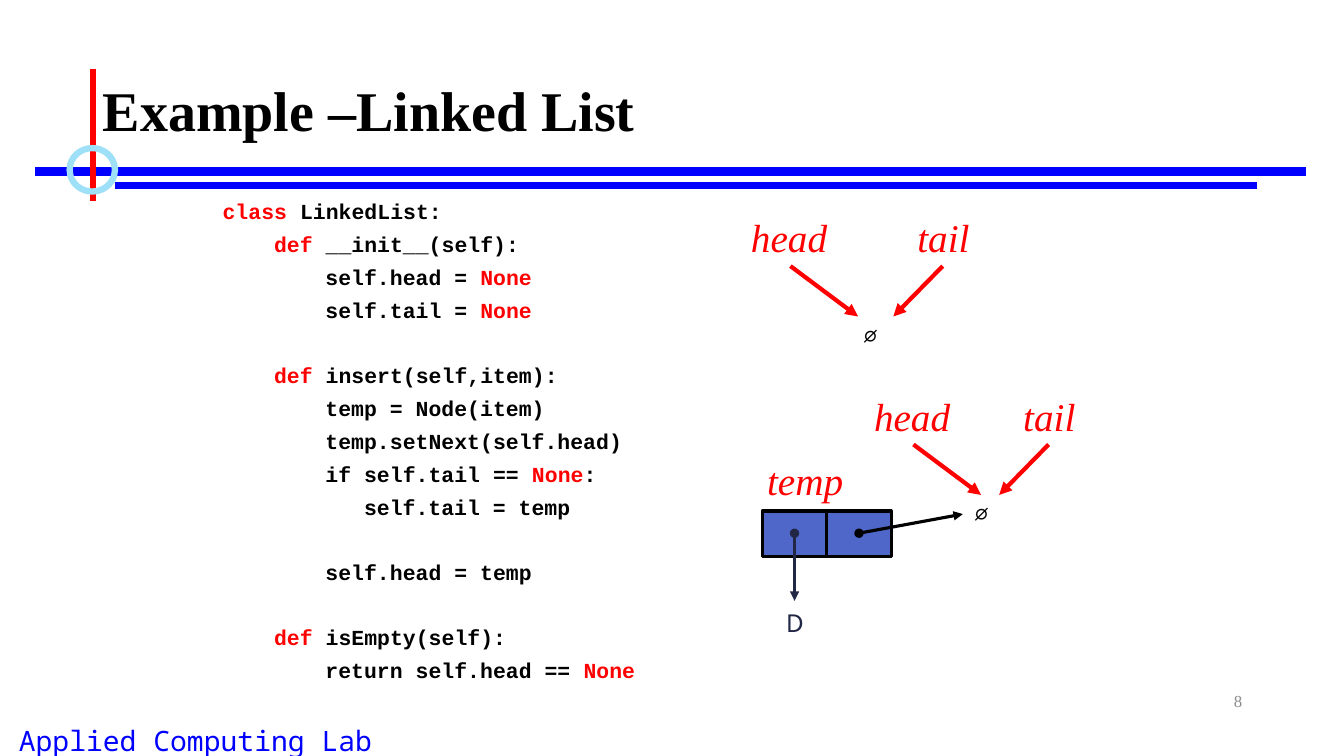
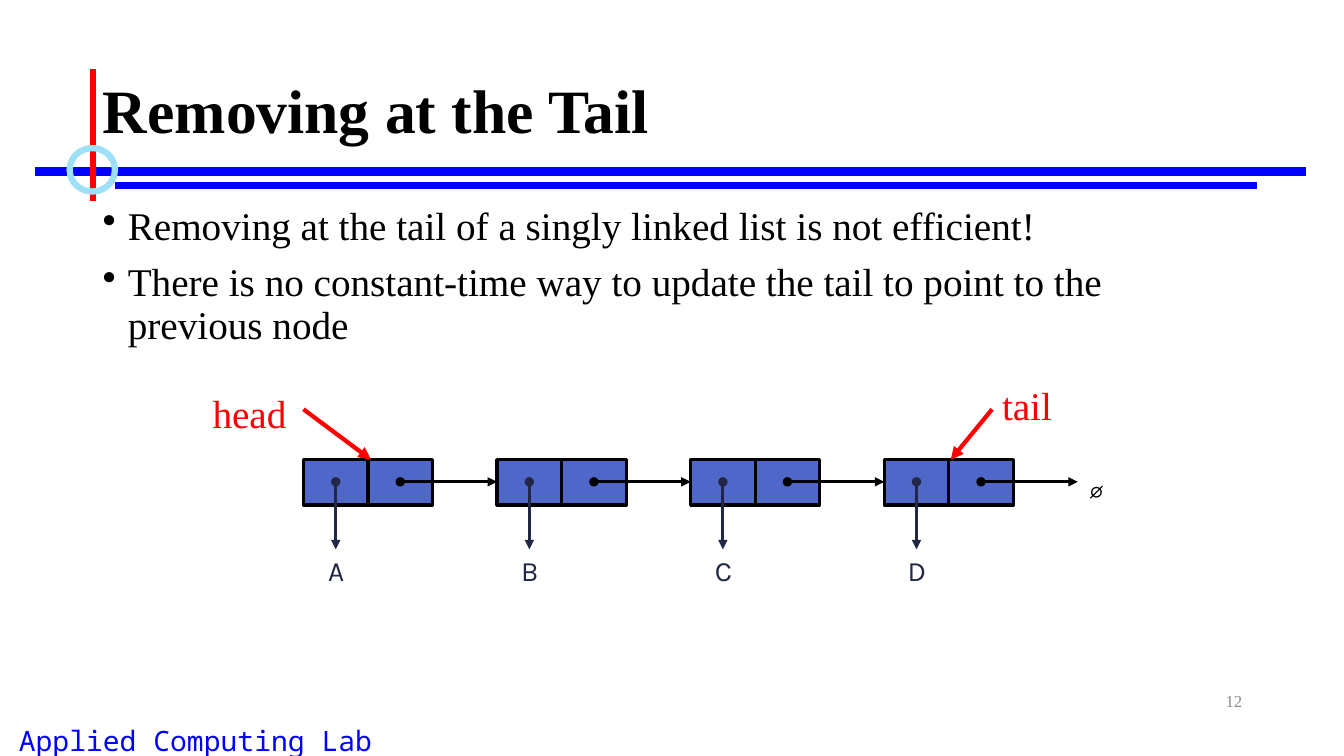
from pptx import Presentation
from pptx.dml.color import RGBColor
from pptx.enum.shapes import MSO_CONNECTOR as Line, MSO_SHAPE as Shape
from pptx.enum.text import MSO_ANCHOR as Anchor, PP_ALIGN as Align
from pptx.oxml.ns import qn
from pptx.util import Emu, Pt
from lxml.etree import SubElement

PX = 9144
TITLE_ONLY = 5
COLORS = {
    "ink": "000000",
    "navy": "212745",
    "blue": "0000FF",
    "red": "FF0000",
    "ring": "9EE0F8",
    "node": "4E67C8",
    "gray": "8C8C8C",
}
SERIF, MONO, CODE, LETTER = "Times New Roman", "Noto Sans Mono", "Courier New", "Karla"
CODE_SIZE = 15.3
KEYWORDS = ("class", "def", "None")
LINKED_LIST = """\
class LinkedList:
    def __init__(self):
        self.head = None
        self.tail = None

    def insert(self,item):
        temp = Node(item)
        temp.setNext(self.head)
        if self.tail == None:
           self.tail = temp

        self.head = temp

    def isEmpty(self):
        return self.head == None"""
CELL_W, CELL_H = 64, 45
HEAD_ARROW = ((49, 57), (67, 50))
TAIL_ARROW = ((35, 57), (-49, 50))


def px(value):
    return Emu(value * PX)


def rgb(name):
    return RGBColor.from_string(COLORS[name])


def split_keyword(text, color, keywords):
    for word in keywords:
        before, found, after = text.partition(word)
        if found:
            return [(before, color), (found, "red"), (after, color)]
    return [(text, color)]


def put_text(frame, text, size=20, font=SERIF, color="ink", bold=False, italic=False,
             align=Align.LEFT, spacing=1.0, before=0, indent=0, bullet=None, keywords=()):
    paragraph = frame.paragraphs[-1]
    if paragraph.runs:
        paragraph = frame.add_paragraph()
    paragraph.alignment = align
    paragraph.line_spacing = spacing
    paragraph.space_before = Pt(before)
    properties = paragraph._p.get_or_add_pPr()
    properties.set("marL", str(int(indent)))
    properties.set("indent", str(-int(indent) if bullet else 0))
    if bullet:
        SubElement(properties, qn("a:buChar")).set("char", bullet)
    for part, part_color in split_keyword(text, color, keywords):
        if part:
            run = paragraph.add_run()
            run.text = part
            run.font.size = Pt(size)
            run.font.name = font
            run.font.bold = bold
            run.font.italic = italic
            run.font.color.rgb = rgb(part_color)


class Deck:
    def __init__(self):
        self.presentation = Presentation()
        self.presentation.slide_width = px(1333)
        self.presentation.slide_height = px(750)
        self.slide = None

    def new_slide(self, title, number, title_size):
        layout = self.presentation.slide_layouts[TITLE_ONLY]
        self.slide = self.presentation.slides.add_slide(layout)
        self.text("Applied Computing Lab", 0, 713, 388, 37, font=MONO, color="blue",
                  align=Align.CENTER)
        self.line((35, 170), (1295, 170), "blue", 6)
        self.line((114, 184), (1247, 184), "blue", 4.5)
        self.line((92, 68), (92, 199), "red", 4.5)
        self.shape(Shape.OVAL, 69, 147, 45, 43, "ring", 4.5)
        self.text(str(number), 942, 675, 300, 40, anchor=Anchor.MIDDLE, size=12,
                  color="gray", align=Align.RIGHT)
        heading = self.slide.shapes.title
        heading.left, heading.top, heading.width, heading.height = map(px, (92, 40, 1150, 145))
        heading.text_frame.vertical_anchor = Anchor.MIDDLE
        put_text(heading.text_frame, title, size=title_size, bold=True, spacing=0.9)

    def frame(self, x, y, width, height, wrap=True, anchor=Anchor.TOP):
        box = self.slide.shapes.add_textbox(*map(px, (x, y, width, height)))
        box.text_frame.word_wrap = wrap
        box.text_frame.vertical_anchor = anchor
        return box.text_frame

    def text(self, text, x, y, width, height, wrap=True, anchor=Anchor.TOP, **style):
        put_text(self.frame(x, y, width, height, wrap, anchor), text, **style)

    def shape(self, kind, x, y, width, height, outline, weight, fill=None):
        shape = self.slide.shapes.add_shape(kind, *map(px, (x, y, width, height)))
        shape.shadow.inherit = False
        if fill:
            shape.fill.solid()
            shape.fill.fore_color.rgb = rgb(fill)
        else:
            shape.fill.background()
        shape.line.color.rgb = rgb(outline)
        shape.line.width = Pt(weight)

    def line(self, start, end, color, weight, **ends):
        line = self.slide.shapes.add_connector(Line.STRAIGHT, *map(px, (*start, *end)))
        line.line.color.rgb = rgb(color)
        line.line.width = Pt(weight)
        outline = line.line._get_or_add_ln()
        for end_name, kind in ends.items():
            SubElement(outline, qn(f"a:{end_name}")).set("type", kind)
        SubElement(line._element.spPr, qn("a:effectLst"))

    def link(self, start, end, color):
        self.line(start, end, color, 2.25, headEnd="oval", tailEnd="triangle")

    def pointer(self, name, x, y, width, offset, vector, italic=False):
        self.label(name, x, y, width, italic)
        start = (x + offset[0], y + offset[1])
        end = (start[0] + vector[0], start[1] + vector[1])
        self.line(start, end, "red", 3, tailEnd="triangle")

    def label(self, name, x, y, width, italic=False):
        self.text(name, x, y, width, 57, wrap=False, size=28, color="red", italic=italic)

    def symbol(self, character, x, y, color="ink"):
        self.text(character, x, y, 43, 43, wrap=False, font=LETTER, color=color,
                  align=Align.CENTER)

    def node(self, letter, x, y, target):
        for left in (x, x + CELL_W):
            self.shape(Shape.RECTANGLE, left, y, CELL_W, CELL_H, "ink", 2.25, "node")
        middle, item_x = y + CELL_H // 2, x + CELL_W // 2
        self.link((item_x + CELL_W, middle), target, "ink")
        self.symbol(letter, item_x - 21, y + 88, "navy")
        self.link((item_x, middle), (item_x, y + 89), "navy")

    def code(self, source, x, y, width, height):
        frame = self.frame(x, y, width, height)
        column, row, gap = Pt(CODE_SIZE * 0.6), 22.8, 10.7
        before = gap
        for line in source.splitlines():
            statement = line.lstrip()
            if not statement:
                before += row
                continue
            put_text(frame, statement, size=CODE_SIZE, font=CODE, bold=True, spacing=0.7,
                     before=before, indent=column * (len(line) - len(statement)),
                     keywords=KEYWORDS)
            before = gap

    def bullets(self, items, x, y, width, height):
        frame = self.frame(x, y, width, height)
        for item in items:
            put_text(frame, item, size=28, spacing=0.9, before=10, indent=px(25), bullet="•")


def linked_list_slide(deck):
    deck.new_slide("Example –Linked List", 8, 40)
    deck.code(LINKED_LIST, 211, 199, 660, 476)
    for head_x, tail_x, y in ((735, 900, 207), (857, 1005, 384)):
        deck.pointer("head", head_x, y, 98, *HEAD_ARROW, italic=True)
        deck.pointer("tail", tail_x, y, 72, *TAIL_ARROW, italic=True)
    deck.symbol("∅", 842, 309)
    deck.node("D", 756, 507, (955, 510))
    deck.label("temp", 751, 448, 96, italic=True)
    deck.symbol("∅", 952, 486)


def removing_slide(deck):
    deck.new_slide("Removing at the Tail", 12, 44)
    deck.bullets((
        "Removing at the tail of a singly linked list is not efficient!",
        "There is no constant-time way to update the tail to point to the previous node",
    ), 92, 200, 1150, 476)
    first_x, y, pitch = 301, 456, 3 * CELL_W
    for index, letter in enumerate("ABCD"):
        x = first_x + index * pitch
        deck.node(letter, x, y, (x + pitch, y + CELL_H // 2))
    deck.symbol("∅", 1066, 464)
    deck.pointer("head", 201, 381, 93, (100, 25), (67, 50))
    deck.pointer("tail", 984, 373, 70, (0, 33), (-41, 50))


def main():
    deck = Deck()
    linked_list_slide(deck)
    removing_slide(deck)
    deck.presentation.save("out.pptx")


if __name__ == "__main__":
    main()
